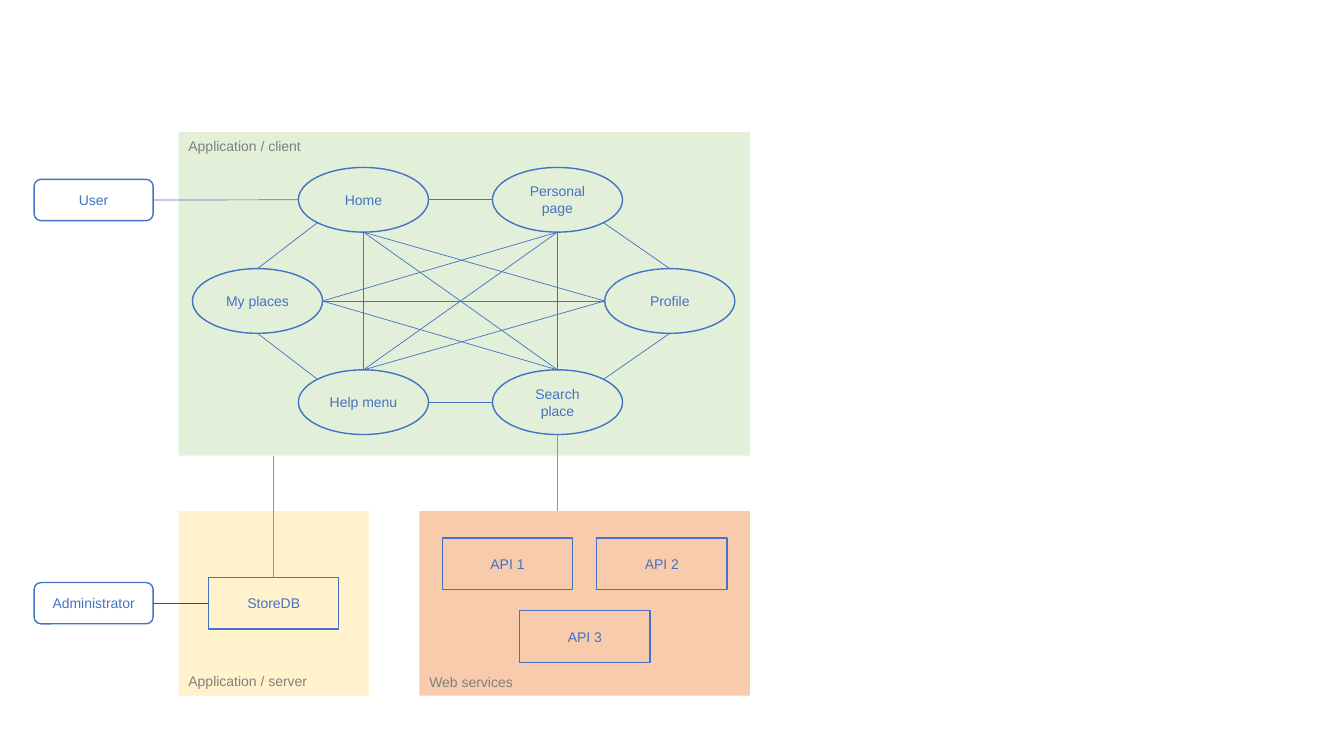
from dataclasses import dataclass

from lxml import etree
from pptx import Presentation
from pptx.dml.color import RGBColor
from pptx.enum.shapes import MSO_CONNECTOR, MSO_SHAPE
from pptx.enum.text import MSO_ANCHOR, MSO_AUTO_SIZE, PP_ALIGN
from pptx.oxml.ns import qn
from pptx.util import Cm, Pt

STRAIGHT = MSO_CONNECTOR.STRAIGHT
RECT, ROUND, OVAL = MSO_SHAPE.RECTANGLE, MSO_SHAPE.ROUNDED_RECTANGLE, MSO_SHAPE.OVAL
MIDDLE, FIT = MSO_ANCHOR.MIDDLE, MSO_AUTO_SIZE.SHAPE_TO_FIT_TEXT
CENTER, LEFT = PP_ALIGN.CENTER, PP_ALIGN.LEFT

COLORS = {
    "client": "E2F0D9", "server": "FFF2CC", "services": "F8CBAD",
    "blue": "4472C4", "gray": "808080", "red": "FF0000", "orange": "ED7D31",
}
FONT = "Arial"

# Anchors as fractions of a box; the diagonal ones lie on an ellipse's outline
NEAR, FAR = 0.146, 0.854
ANCHORS = {
    "top": (0.5, 0), "bottom": (0.5, 1), "left": (0, 0.5), "right": (1, 0.5),
    "lower left": (NEAR, FAR), "lower right": (FAR, FAR),
    "upper left": (NEAR, NEAR), "upper right": (FAR, NEAR),
}


@dataclass(frozen=True)
class Box:
    """A rectangle in centimetres with an optional text."""
    x: float
    y: float
    w: float
    h: float
    text: str = ""
    kind: MSO_SHAPE = RECT

    def at(self, anchor: str) -> tuple[float, float]:
        """Return the point of a named anchor."""
        fx, fy = ANCHORS[anchor]
        return self.x + fx * self.w, self.y + fy * self.h

    def lengths(self) -> list[Cm]:
        """Return left, top, width and height."""
        return [Cm(v) for v in (self.x, self.y, self.w, self.h)]


def rgb(name: str) -> RGBColor:
    """Look up a named colour."""
    return RGBColor.from_string(COLORS[name])


def write(tf, text: str, *, color: str, align: PP_ALIGN) -> None:
    """Write one paragraph per line of text."""
    for i, line in enumerate(text.split("\n")):
        p = tf.add_paragraph() if i else tf.paragraphs[0]
        p.alignment = align
        r = p.add_run()
        r.text = line
        r.font.name, r.font.size = FONT, Pt(10)
        r.font.color.rgb = rgb(color)


def panel(s, box: Box, fill: str) -> None:
    """Draw a borderless coloured area."""
    sp = s.shapes.add_shape(box.kind, *box.lengths())
    sp.shadow.inherit = False
    sp.fill.solid()
    sp.fill.fore_color.rgb = rgb(fill)
    sp.line.fill.background()


def node(s, box: Box) -> None:
    """Draw an outlined shape with centred text."""
    sp = s.shapes.add_shape(box.kind, *box.lengths())
    sp.shadow.inherit = False
    sp.fill.background()
    sp.line.color.rgb = rgb("blue")
    sp.line.width = Pt(1)
    tf = sp.text_frame
    tf.word_wrap = True
    tf.vertical_anchor = MIDDLE
    write(tf, box.text, color="blue", align=CENTER)


def label(s, box: Box, wrap: bool) -> None:
    """Draw the caption of an area."""
    tf = s.shapes.add_textbox(*box.lengths()).text_frame
    tf.word_wrap = wrap
    tf.auto_size = FIT
    write(tf, box.text, color="gray", align=LEFT)


def link(s, start: tuple[float, float], end: tuple[float, float],
         color: str = "blue") -> None:
    """Draw a thin straight line between two points."""
    cx = s.shapes.add_connector(STRAIGHT, *(Cm(v) for v in start + end))
    cx.line.color.rgb = rgb(color)
    cx.line.width = Pt(0.5)
    etree.SubElement(cx._element.spPr, qn("a:effectLst"))


def page(x: float, row: int, text: str) -> Box:
    """Return the ellipse of a client page in one of three rows."""
    return Box(x, 4.22 + 2.55 * row, 3.28, 1.63, text, OVAL)


def block(x: float, y: float, text: str) -> Box:
    """Return the rectangle of a database or API."""
    return Box(x, y, 3.28, 1.3, text)


def actor(y: float, text: str) -> Box:
    """Return the rounded box of a person."""
    return Box(0.86, y, 3, 1.04, text, ROUND)


CLIENT = Box(4.5, 3.33, 14.4, 8.15)
SERVER = Box(4.5, 12.88, 4.8, 4.65)
SERVICES = Box(10.57, 12.88, 8.33, 4.65)
PANELS = {"server": SERVER, "client": CLIENT, "services": SERVICES}

HOME = page(7.52, 0, "Home")
PERSONAL = page(12.41, 0, "Personal\npage")
PLACES = page(4.85, 1, "My places")
PROFILE = page(15.24, 1, "Profile")
HELP = page(7.52, 2, "Help menu")
SEARCH = page(12.41, 2, "Search place")
DATABASE = block(5.26, 14.55, "StoreDB")
APIS = [block(11.15, 13.56, "API 1"), block(15.04, 13.56, "API 2"),
        block(13.1, 15.39, "API 3")]
ADMIN = actor(14.68, "Administrator")
USER = actor(4.52, "User")
NODES = [HOME, PERSONAL, PLACES, SEARCH, PROFILE, DATABASE, *APIS, ADMIN, USER, HELP]

LABELS = [
    (Box(SERVICES.x, 16.84, 2.64, 0.69, "Web services"), False),
    (Box(SERVER.x, 16.81, 3.84, 0.69, "Application / server"), True),
    (Box(CLIENT.x, 3.35, 3.38, 0.69, "Application / client"), False),
]

LINKS = [
    (USER, "right", HOME, "left"),
    (HOME, "right", PERSONAL, "left"),
    (PERSONAL, "lower right", PROFILE, "top"),
    (SEARCH, "upper right", PROFILE, "bottom"),
    (SEARCH, "left", HELP, "right"),
    (HELP, "upper left", PLACES, "bottom"),
    (PLACES, "top", HOME, "lower left"),
    (PLACES, "right", PERSONAL, "bottom"),
    (PLACES, "right", SEARCH, "top"),
    (PLACES, "right", PROFILE, "left"),
    (PERSONAL, "bottom", HELP, "top"),
    (PERSONAL, "bottom", SEARCH, "top"),
    (HOME, "bottom", HELP, "top"),
    (HOME, "bottom", SEARCH, "top"),
    (HOME, "bottom", PROFILE, "left"),
    (PROFILE, "left", HELP, "top"),
]

prs = Presentation()
prs.slide_width, prs.slide_height = Cm(33.87), Cm(19.05)
s = prs.slides.add_slide(prs.slide_layouts[6])

for fill, area in PANELS.items():
    panel(s, area, fill)
for box in NODES:
    node(s, box)
for caption, wrap in LABELS:
    label(s, caption, wrap)
for a, a_side, b, b_side in LINKS:
    link(s, a.at(a_side), b.at(b_side))

link(s, ADMIN.at("right"), DATABASE.at("left"), "red")
search_x, search_y = SEARCH.at("bottom")
link(s, (search_x, search_y), (search_x, SERVICES.y), "orange")
db_x, db_y = DATABASE.at("top")
link(s, (db_x, db_y), (db_x, CLIENT.y + CLIENT.h), "orange")

prs.save("out.pptx")
